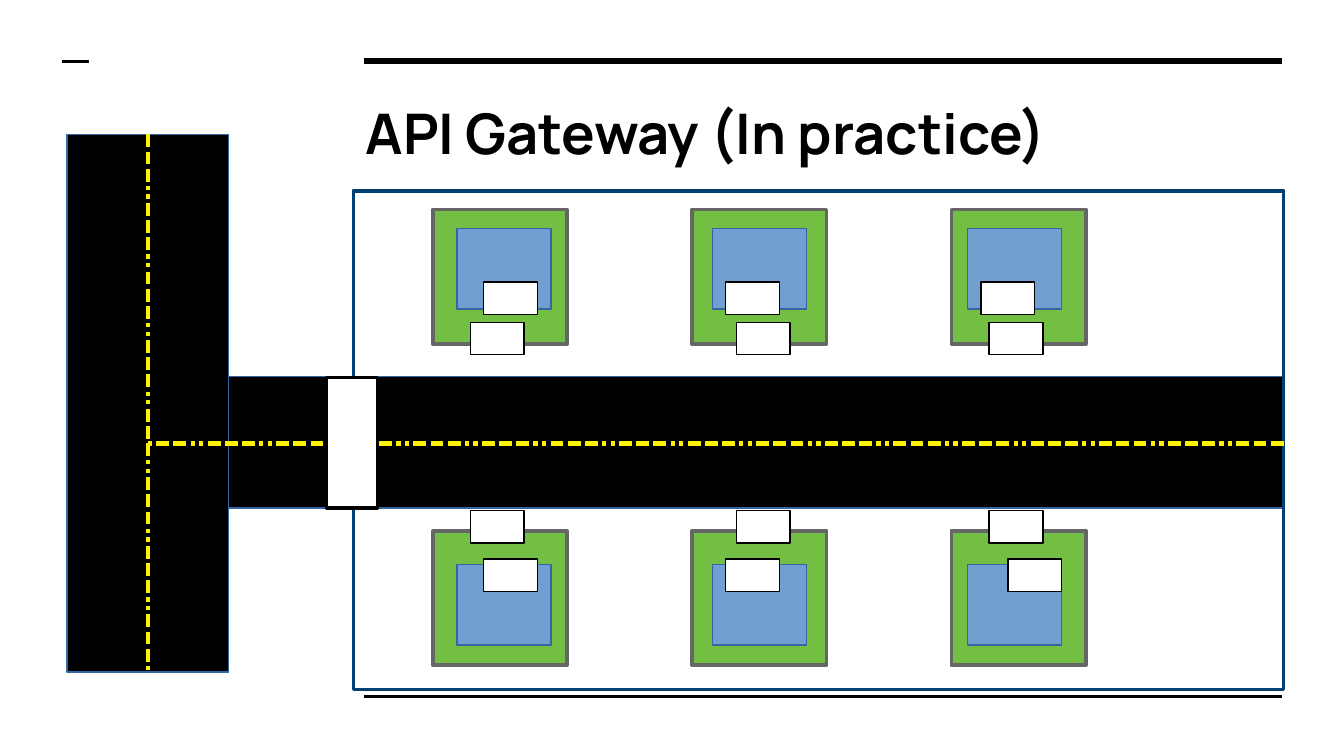
from dataclasses import dataclass
from itertools import product

from lxml import etree
from pptx import Presentation
from pptx.dml.color import RGBColor
from pptx.enum import shapes, text
from pptx.oxml import ns
from pptx.util import Inches, Pt

COLUMNS = 100
ROWS = 56.25
CELL = Inches(10) / COLUMNS


@dataclass(frozen=True)
class Theme:
    ink: str = "000000"
    paper: str = "FFFFFF"
    grass: str = "72BF44"
    house: str = "729FCF"
    edge: str = "3465A4"
    fence: str = "666666"
    border: str = "004072"
    marking: str = "FFF200"
    font: str = "Manrope"
    title_size: float = 30
    thin: float = 0.75
    rule: float = 1.5
    medium: float = 2
    dashes: float = 2.3
    thick: float = 3


THEME = Theme()


def grid(*cells):
    return [round(cell * CELL) for cell in cells]


def color(value):
    return RGBColor.from_string(value)


def add_box(page, area, fill, line, width):
    box = page.shapes.add_shape(shapes.MSO_SHAPE.RECTANGLE, *grid(*area))
    box.shadow.inherit = False
    if fill:
        box.fill.solid()
        box.fill.fore_color.rgb = color(fill)
    else:
        box.fill.background()
    box.line.color.rgb = color(line)
    box.line.width = Pt(width)
    return box


def add_line(page, ends, line, width):
    connector = page.shapes.add_connector(shapes.MSO_CONNECTOR.STRAIGHT, *grid(*ends))
    connector.line.color.rgb = color(line)
    connector.line.width = Pt(width)
    etree.SubElement(connector._element.spPr, ns.qn("a:effectLst"))
    return connector


def add_marking(page, ends):
    connector = add_line(page, ends, THEME.marking, THEME.dashes)
    pattern = etree.SubElement(connector.line._get_or_add_ln(), ns.qn("a:custDash"))
    for length in [300000] * 3 + [100000] * 2:
        etree.SubElement(pattern, ns.qn("a:ds"), d=str(length), sp="100000")


def add_title(page, words, area):
    title = page.shapes.title
    title.left, title.top, title.width, title.height = grid(*area)
    frame = title.text_frame
    frame.text = words
    frame.word_wrap = True
    frame.auto_size = text.MSO_AUTO_SIZE.NONE
    frame.vertical_anchor = text.MSO_ANCHOR.TOP
    frame.margin_left, frame.margin_top, frame.margin_right, frame.margin_bottom = grid(1, 1, 1, 1)
    para = frame.paragraphs[0]
    para.alignment = text.PP_ALIGN.LEFT
    font = para.runs[0].font
    font.name = THEME.font
    font.size = Pt(THEME.title_size)
    font.bold = True
    font.color.rgb = color(THEME.ink)


def add_door(page, left, top):
    add_box(page, (left, top, 4, 2.4), THEME.paper, THEME.ink, THEME.thin)


def add_plot(page, lefts, tops):
    add_box(page, (lefts["yard"], tops["yard"], 10, 10), THEME.grass, THEME.fence, THEME.medium)
    add_door(page, lefts["gate"], tops["gate"])
    add_box(page, (lefts["house"], tops["house"], 7, 6), THEME.house, THEME.edge, THEME.thin)
    add_door(page, lefts["door"], tops["door"])


def add_neighbourhood(page):
    rows = [
        {"yard": 15.6, "gate": 24, "house": 17, "door": 21},
        {"yard": 39.5, "gate": 38, "house": 42, "door": 41.6},
    ]
    gates = [35, 54.8, 73.6]
    doors = [[36, 54, 73], [36, 54, 75]]
    for (row, tops), column in product(enumerate(rows), range(3)):
        lefts = {
            "yard": 32.2 + 19.3 * column,
            "gate": gates[column],
            "house": 34 + 19 * column,
            "door": doors[row][column],
        }
        add_plot(page, lefts, tops)


def main():
    deck = Presentation()
    deck.slide_width, deck.slide_height = grid(COLUMNS, ROWS)
    page = deck.slides.add_slide(deck.slide_layouts[5])

    add_line(page, (27.1, 4.55, 95.4, 4.55), THEME.ink, THEME.thick)
    add_line(page, (27.1, 51.8, 95.4, 51.8), THEME.ink, THEME.rule)
    add_line(page, (4.6, 4.55, 6.6, 4.55), THEME.ink, THEME.rule)
    add_title(page, "API Gateway (In practice)", (26.2, 6.3, 69.1, 6.9))

    add_box(page, (17, 28, 78.5, 9.8), THEME.ink, THEME.edge, THEME.thin)
    add_box(page, (26.3, 14.2, 69.2, 37.1), None, THEME.border, THEME.medium)
    add_neighbourhood(page)
    add_box(page, (5, 10, 12, 40), THEME.ink, THEME.edge, THEME.thin)
    add_marking(page, (95.5, 33, 11, 33))
    add_marking(page, (11, 10, 11, 50))
    add_box(page, (24.3, 28.1, 3.8, 9.7), THEME.paper, THEME.ink, THEME.medium)

    deck.save("out.pptx")


if __name__ == "__main__":
    main()
